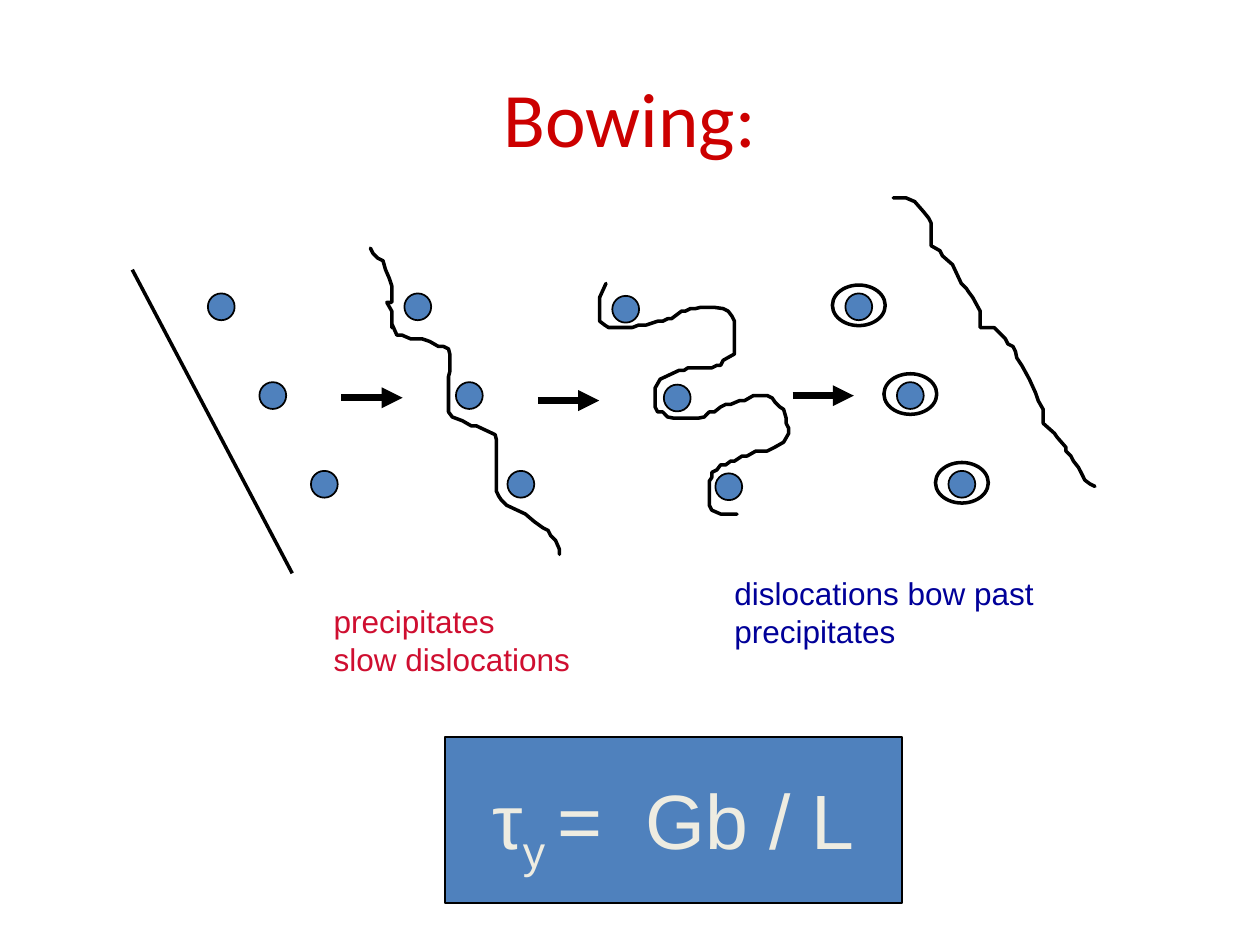
from lxml import etree
from pptx import Presentation
from pptx.dml.color import RGBColor
from pptx.enum.shapes import MSO_CONNECTOR, MSO_SHAPE
from pptx.enum.text import MSO_ANCHOR, MSO_AUTO_SIZE, PP_ALIGN
from pptx.oxml.ns import qn
from pptx.util import Pt

OVAL, RECT = MSO_SHAPE.OVAL, MSO_SHAPE.RECTANGLE
STRAIGHT = MSO_CONNECTOR.STRAIGHT
CENTER, MIDDLE = PP_ALIGN.CENTER, MSO_ANCHOR.MIDDLE
GROW = MSO_AUTO_SIZE.SHAPE_TO_FIT_TEXT

BLACK, BLUE, CREAM = "000000", "4F81BD", "EEECE1"
RED, CRIMSON, NAVY = "CC0000", "CF0E30", "000099"

# First precipitate of each stage; the others follow down a diagonal.
STAGES = [(118.8, 167.7), (231.1, 167.7), (349.9, 169.1), (483.1, 167.7)]
PER_STAGE = 3
STEP_X, STEP_Y = 29.45, 50.7
DOT = 15.3
RING_W, RING_H = 30.2, 23.2

STRAIGHT_DISLOCATION = (75.6, 154.1, 167, 327.6)
ARROWS = [(195.1, 227.3), (307.4, 228.9), (452.9, 226.1)]
ARROW_LENGTH = 35

# Dislocation outlines in hundredths of an inch
CURVE_UNIT = Pt(0.72)
SLOWED = [
    (294, 197), (296, 201), (300, 205), (304, 207), (306, 214), (309, 221),
    (311, 227), (311, 240), (307, 240), (311, 247), (311, 260), (311, 257),
    (315, 266), (319, 266), (326, 269), (335, 269), (341, 271), (348, 275),
    (352, 275), (356, 277), (357, 281), (357, 295), (356, 299), (356, 327),
    (359, 331), (367, 334), (374, 338), (378, 338), (393, 345), (394, 349),
    (394, 390), (396, 394), (398, 397), (402, 401), (417, 408), (424, 414),
    (431, 419), (435, 421), (437, 425), (441, 429), (444, 436), (444, 440),
]
BOWED = [
    (481, 225), (476, 236), (476, 255), (480, 258), (483, 260), (502, 260),
    (507, 258), (513, 258), (522, 255), (526, 255), (530, 253), (533, 253),
    (541, 247), (544, 247), (548, 245), (552, 245), (556, 244), (567, 244),
    (574, 245), (578, 247), (581, 251), (583, 255), (583, 281), (574, 286),
    (572, 290), (569, 290), (565, 292), (546, 292), (543, 294), (539, 294),
    (524, 301), (520, 308), (520, 323), (522, 327), (526, 327), (530, 331),
    (535, 332), (554, 332), (559, 331), (563, 327), (567, 327), (572, 323),
    (576, 321), (580, 321), (587, 318), (591, 318), (598, 314), (609, 314),
    (613, 316), (615, 319), (619, 323), (622, 325), (624, 332), (624, 336),
    (626, 340), (626, 344), (622, 351), (615, 355), (609, 358), (600, 358),
    (593, 362), (589, 362), (583, 366), (580, 366), (576, 369), (572, 369),
    (569, 373), (565, 375), (565, 379), (563, 382), (563, 401), (565, 405),
    (572, 408), (585, 408),
]
PASSED = [
    (709, 157), (719, 157), (726, 160), (733, 168), (737, 173), (739, 177),
    (739, 195), (746, 199), (748, 203), (756, 210), (763, 225), (767, 229),
    (769, 232), (772, 236), (778, 247), (778, 260), (789, 260), (798, 269),
    (800, 273), (804, 275), (806, 279), (807, 284), (811, 290), (817, 301),
    (822, 312), (824, 318), (828, 325), (828, 336), (837, 344), (839, 347),
    (846, 355), (846, 358), (850, 362), (852, 366), (856, 371), (859, 377),
    (861, 381), (865, 384), (869, 386),
]

TITLE = [[("Bowing:", 0)]]
SLOW_NOTE = [[("precipitates", 0)], [("slow dislocations", 0)]]
BOW_NOTE = [[("dislocations bow past", 0)], [("precipitates", 0)]]
FORMULA = [[("τ", 0), ("y ", -25000), ("=  Gb / L", 0)]]


def rgb(color):
    return RGBColor.from_string(color)


def style_line(shape, width):
    shape.line.color.rgb = rgb(BLACK)
    shape.line.width = Pt(width)


def add_shape(s, kind, x, y, w, h, fill=None, width=1):
    sp = s.shapes.add_shape(kind, Pt(x), Pt(y), Pt(w), Pt(h))
    sp.shadow.inherit = False
    if fill:
        sp.fill.solid()
        sp.fill.fore_color.rgb = rgb(fill)
    else:
        sp.fill.background()
    style_line(sp, width)


def add_line(s, x1, y1, x2, y2, width, arrow=False):
    c = s.shapes.add_connector(STRAIGHT, Pt(x1), Pt(y1), Pt(x2), Pt(y2))
    style_line(c, width)
    if arrow:
        etree.SubElement(c.line._get_or_add_ln(), qn("a:tailEnd"), type="triangle")
    etree.SubElement(c._element.spPr, qn("a:effectLst"))


def add_curve(s, points):
    builder = s.shapes.build_freeform(*points[0], scale=CURVE_UNIT)
    builder.add_line_segments(points[1:], close=False)
    sp = builder.convert_to_shape()
    sp.shadow.inherit = False
    sp.fill.background()
    style_line(sp, 2)
    ln = sp.line._get_or_add_ln()
    ln.set("cap", "rnd")
    etree.SubElement(ln, qn("a:round"))


def add_text(s, paragraphs, x, y, w, h, size=18, color=BLACK, font="Arial",
             align=None, anchor=None, wrap=False):
    """Each paragraph is a list of (text, baseline shift) runs."""
    tf = s.shapes.add_textbox(Pt(x), Pt(y), Pt(w), Pt(h)).text_frame
    tf.word_wrap = wrap
    if not wrap:
        tf.auto_size = GROW
    if anchor is not None:
        tf.vertical_anchor = anchor
    for i, runs in enumerate(paragraphs):
        p = tf.add_paragraph() if i else tf.paragraphs[0]
        p.alignment = align
        for text, shift in runs:
            r = p.add_run()
            r.text = text
            r.font.size, r.font.name = Pt(size), font
            r.font.color.rgb = rgb(color)
            if shift:
                r.font._element.set("baseline", str(shift))


def main():
    prs = Presentation()
    prs.slide_width, prs.slide_height = Pt(720), Pt(540)
    s = prs.slides.add_slide(prs.slide_layouts[6])

    add_text(s, TITLE, 36, 21.6, 648, 90, size=44, color=RED, font="Calibri",
             align=CENTER, anchor=MIDDLE, wrap=True)

    for stage, (left, top) in enumerate(STAGES):
        for i in range(PER_STAGE):
            x, y = left + i * STEP_X, top + i * STEP_Y
            add_shape(s, OVAL, x, y, DOT, DOT, fill=BLUE)
            if stage == len(STAGES) - 1:
                add_shape(s, OVAL, x + (DOT - RING_W) / 2, y - 4.8,
                          RING_W, RING_H, width=2)

    add_line(s, *STRAIGHT_DISLOCATION, width=2)
    for points in (SLOWED, BOWED, PASSED):
        add_curve(s, points)
    for x, y in ARROWS:
        add_line(s, x, y, x + ARROW_LENGTH, y, width=4, arrow=True)

    add_text(s, SLOW_NOTE, 183.6, 340.6, 194.4, 64.8, color=CRIMSON)
    add_text(s, BOW_NOTE, 412.6, 324.7, 242.6, 64.8, color=NAVY)
    add_shape(s, RECT, 254.2, 421.2, 261.4, 95, fill=BLUE)
    add_text(s, FORMULA, 274.3, 437.8, 229, 59.8, size=44, color=CREAM)

    prs.save("out.pptx")


if __name__ == "__main__":
    main()
